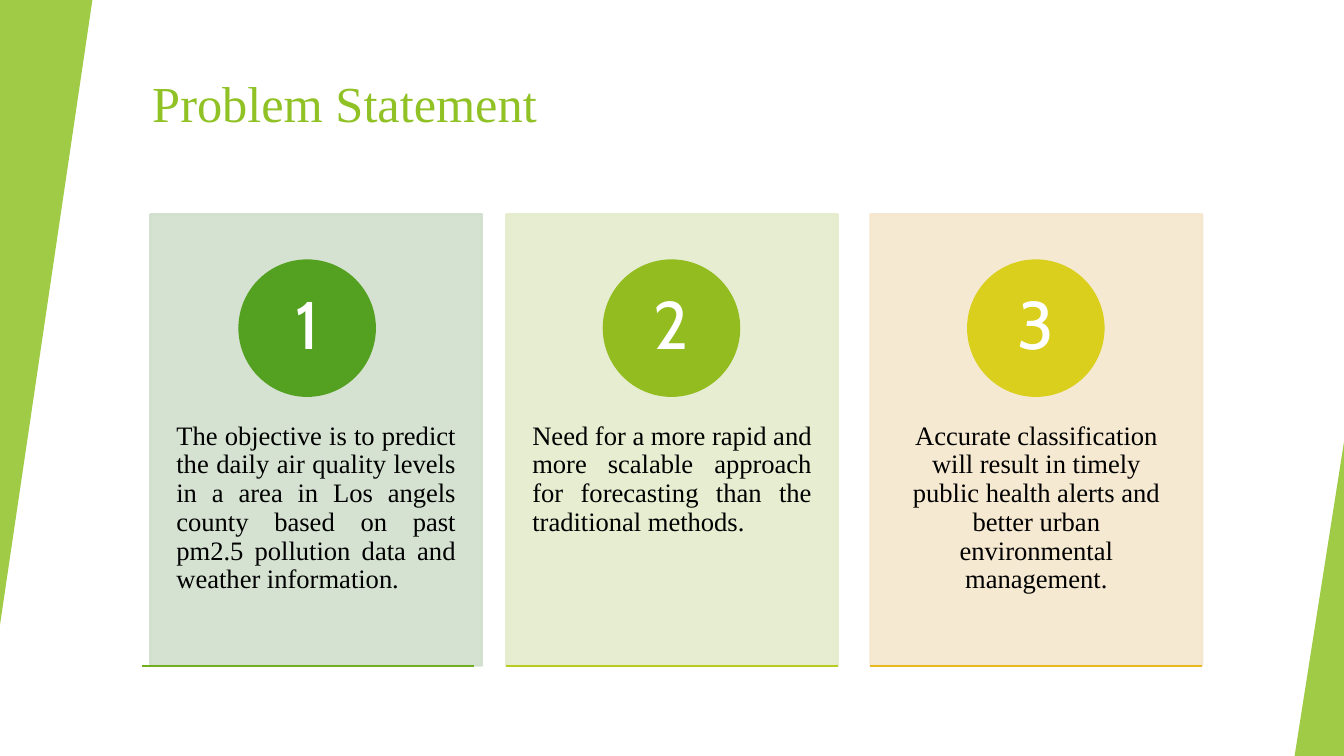
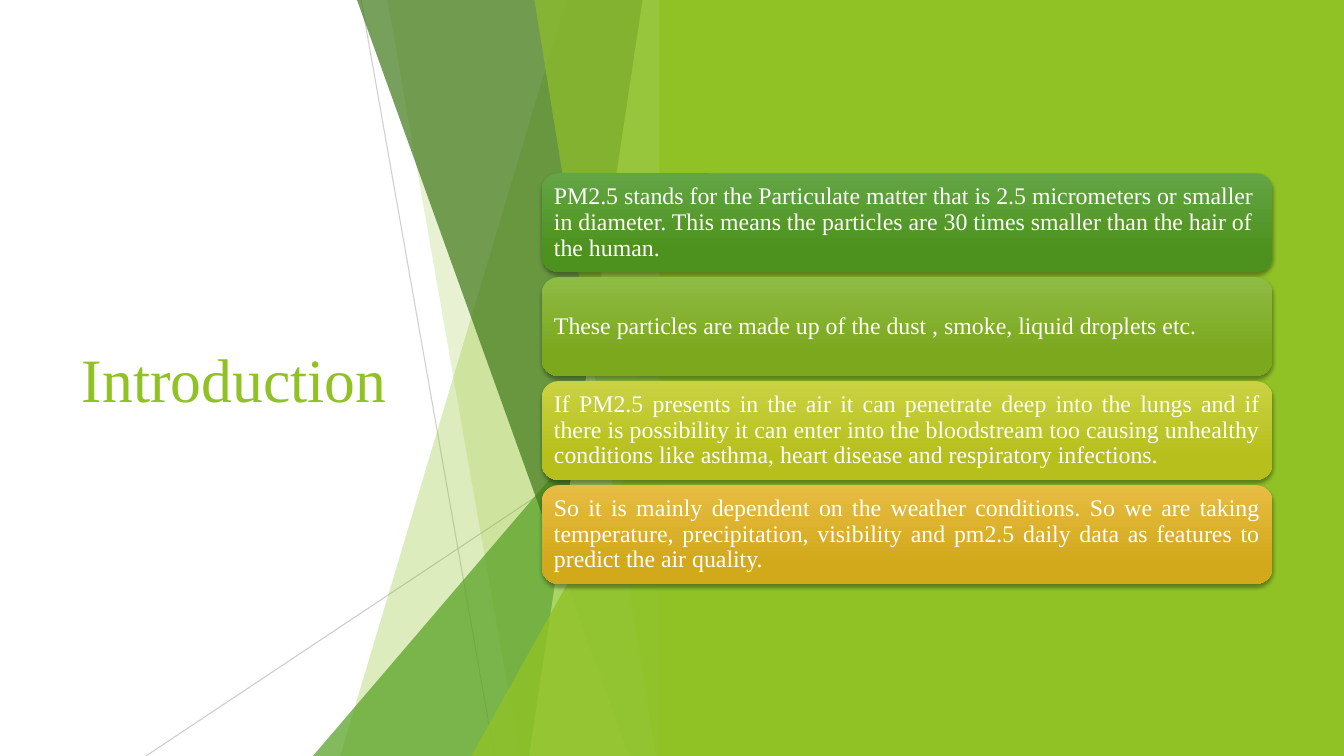
from dataclasses import dataclass

from lxml.etree import SubElement
from pptx import Presentation
from pptx.dml.color import RGBColor
from pptx.enum.shapes import MSO_CONNECTOR as Connector, MSO_SHAPE as Shape
from pptx.enum.text import MSO_ANCHOR as Anchor, PP_ALIGN as Align
from pptx.oxml.ns import qn
from pptx.util import Pt

EMU_PER_PX = 9525
SLIDE_W, SLIDE_H = 1280, 720


@dataclass(frozen=True)
class Theme:
    green: str = "90C226"
    leaf: str = "54A021"
    forest: str = "3F7819"
    lime: str = "C0E474"
    gray: str = "BFBFBF"
    black: str = "000000"
    white: str = "FFFFFF"
    serif: str = "Times New Roman"
    sans: str = "Cabin"
    title: int = 36
    side_title: int = 44
    number: int = 48
    body: int = 19
    fact: int = 17
    hairline: float = 0.75
    outline: float = 1.5


THEME = Theme()

# Panel colour, circle colour, rule colour, panel shift, alignment, text
PROBLEMS = [
    ("D1DFCD", "54A021", "71AE20", 8, Align.JUSTIFY,
     "The objective is to predict the daily air quality levels in a area in Los angels "
     "county based on past pm2.5 pollution data and weather information."),
    ("E5ECCB", "92BC1F", "B9CB1E", 0, Align.JUSTIFY,
     "Need for a more rapid and more scalable approach for forecasting than the "
     "traditional methods."),
    ("F5E7CD", "DACF1C", "E6B91E", 0, Align.CENTER,
     "Accurate classification will result in timely public health alerts and better "
     "urban environmental management."),
]

# Gradient start, gradient end, alignment, text
FACTS = [
    ("63A545", "4D921E", Align.LEFT,
     "PM2.5 stands for the Particulate matter that is 2.5 micrometers or smaller in "
     "diameter. This means the particles are 30 times smaller than the hair of the human."),
    ("8EBB44", "7BA81D", Align.LEFT,
     "These particles are made up of the dust , smoke, liquid droplets etc."),
    ("CAD243", "B6BF1B", Align.JUSTIFY,
     "If PM2.5 presents in the air it can penetrate deep into the lungs and if there is "
     "possibility it can enter into the bloodstream too causing unhealthy conditions like "
     "asthma, heart disease and respiratory infections."),
    ("E7BC43", "D2A91B", Align.JUSTIFY,
     "So it is mainly dependent on the weather conditions. So we are taking temperature, "
     "precipitation, visibility and pm2.5 daily data as features to predict the air quality."),
]


def px(*lengths):
    return [length * EMU_PER_PX for length in lengths]


def rgb(color):
    return RGBColor.from_string(color)


def set_opacity(element, percent):
    """Apply one opacity to every fill and line colour of a shape."""
    if percent < 100:
        for color in element.spPr.iter(qn("a:srgbClr")):
            SubElement(color, qn("a:alpha"), val=str(percent * 1000))


def paint(shape, color, opacity=100, outlined=False):
    shape.shadow.inherit = False
    shape.fill.solid()
    shape.fill.fore_color.rgb = rgb(color)
    if outlined:
        shape.line.color.rgb = rgb(color)
        shape.line.width = Pt(THEME.outline)
    else:
        shape.line.fill.background()
    set_opacity(shape.element, opacity)
    return shape


def add_block(slide, kind, box, color, **look):
    return paint(slide.shapes.add_shape(kind, *px(*box)), color, **look)


def add_corner(slide, box, color, opacity, rotation=0):
    """Triangle whose right angle is at the bottom right before rotation."""
    corner = add_block(slide, Shape.ISOSCELES_TRIANGLE, box, color, opacity=opacity)
    corner.adjustments[0] = 1
    corner.rotation = rotation


def add_shard(slide, top_left, bottom_left, right, color, opacity):
    """Full-height band with a slanted left edge."""
    outline = slide.shapes.build_freeform(top_left, 0, scale=EMU_PER_PX)
    outline.add_line_segments([(right, 0), (right, SLIDE_H), (bottom_left, SLIDE_H)])
    paint(outline.convert_to_shape(), color, opacity)


def add_rule(slide, start, end, color, width, opacity=100):
    rule = slide.shapes.add_connector(Connector.STRAIGHT, *px(*start, *end))
    rule.line.color.rgb = rgb(color)
    rule.line.width = Pt(width)
    SubElement(rule.element.spPr, qn("a:effectLst"))
    set_opacity(rule.element, opacity)


def write(shape, text, *, size, color, font=THEME.serif, align=Align.LEFT,
          anchor=Anchor.MIDDLE, margins=(10, 5, 10, 5), spacing=0.9):
    """Fill a shape with one paragraph; margins run left, top, right, bottom."""
    frame = shape.text_frame
    frame.word_wrap = True
    frame.vertical_anchor = anchor
    (frame.margin_left, frame.margin_top,
     frame.margin_right, frame.margin_bottom) = px(*margins)
    paragraph = frame.paragraphs[0]
    paragraph.alignment = align
    paragraph.line_spacing = spacing
    run = paragraph.add_run()
    run.text = text
    run.font.size = Pt(size)
    run.font.name = font
    run.font.color.rgb = rgb(color)


def add_title(slide, text, box, size, anchor):
    write(slide.shapes.add_textbox(*px(*box)), text, size=size, color=THEME.green,
          anchor=anchor, spacing=1.0)


def add_problem(slide, index, problem):
    panel_color, circle_color, rule_color, shift, align, text = problem
    left, top, width, height, circle_size = 135 + 347 * index, 204, 316, 430, 129
    bottom = top + height

    panel = add_block(slide, Shape.RECTANGLE, (left + shift, top, width, height),
                      panel_color, opacity=90, outlined=True)
    write(panel, text, size=THEME.body, color=THEME.black, align=align,
          anchor=Anchor.TOP, margins=(25, 198, 25, 0))

    circle_left = left + (width - circle_size) // 2
    circle = add_block(slide, Shape.OVAL, (circle_left, 248, circle_size, circle_size),
                       circle_color, outlined=True)
    write(circle, str(index + 1), size=THEME.number, color=THEME.white,
          font=THEME.sans, align=Align.CENTER, margins=(10, 1, 10, 1))

    add_rule(slide, (left, bottom), (left + width, bottom), rule_color, THEME.outline)


def add_fact(slide, index, fact):
    start_color, end_color, align, text = fact
    height, gap = 94, 5
    card = add_block(slide, Shape.ROUNDED_RECTANGLE,
                     (516, 165 + index * (height + gap), 696, height), end_color)
    card.fill.gradient()
    card.fill.gradient_angle = 270
    stops = zip(card.fill.gradient_stops, (start_color, end_color), (0, 0.78))
    for stop, color, position in stops:
        stop.color.rgb = rgb(color)
        stop.position = position
    add_soft_shadow(card)
    write(card, text, size=THEME.fact, color=THEME.white, align=align,
          margins=(7, 7, 7, 7))


def add_soft_shadow(shape):
    effects = shape.element.spPr.find(qn("a:effectLst"))
    shadow = SubElement(effects, qn("a:outerShdw"), blurRad=str(Pt(3)), dist=str(Pt(2)),
                        dir="5400000", rotWithShape="0")
    color = SubElement(shadow, qn("a:srgbClr"), val=THEME.black)
    SubElement(color, qn("a:alpha"), val="35000")


def add_facets(slide):
    """Overlapping translucent shards between the title and the green field."""
    right = 640
    add_rule(slide, (344, 0), (471, SLIDE_H), THEME.gray, THEME.hairline, 75)
    add_rule(slide, (right, 387), (139, SLIDE_H), THEME.gray, THEME.hairline, 80)
    add_shard(slide, 539, 324, right, THEME.green, 30)
    add_shard(slide, 369, 495, right, THEME.green, 20)
    add_corner(slide, (298, 320, 342, 400), THEME.leaf, 72)
    add_shard(slide, 340, 599, right, THEME.forest, 70)
    add_shard(slide, 612, 504, right, THEME.lime, 70)
    add_shard(slide, 509, 625, right, THEME.green, 65)
    add_corner(slide, (449, 377, 191, 343), THEME.green, 80)


def build_problem_statement(slide):
    add_title(slide, "Problem Statement", (135, 64, 1070, 115), THEME.title, Anchor.TOP)
    add_corner(slide, (0, 0, 88, 595), THEME.green, 85, rotation=180)
    add_corner(slide, (1233, 421, 47, 299), THEME.green, 85)
    for index, problem in enumerate(PROBLEMS):
        add_problem(slide, index, problem)


def build_introduction(slide):
    add_title(slide, "Introduction", (68, 145, 372, 430), THEME.side_title, Anchor.MIDDLE)
    add_facets(slide)
    add_block(slide, Shape.RECTANGLE, (628, 0, SLIDE_W - 628, SLIDE_H), THEME.green)
    for index, fact in enumerate(FACTS):
        add_fact(slide, index, fact)


def main():
    deck = Presentation()
    deck.slide_width, deck.slide_height = px(SLIDE_W, SLIDE_H)
    blank = deck.slide_layouts[6]
    for build in (build_problem_statement, build_introduction):
        build(deck.slides.add_slide(blank))
    deck.save("out.pptx")


if __name__ == "__main__":
    main()
